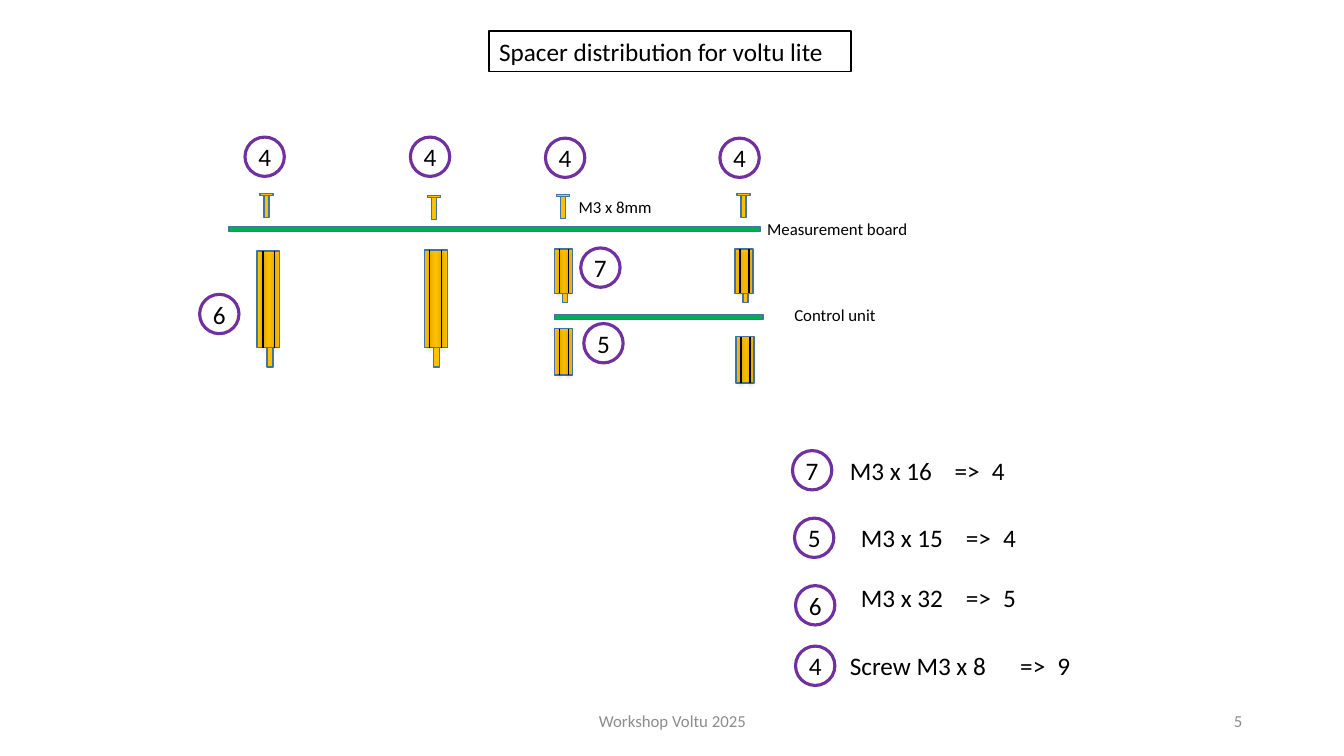
from pptx import Presentation, util as u
from pptx.dml.color import RGBColor
from pptx.enum import shapes, text
from pptx.oxml import parse_xml
from pptx.oxml.ns import nsdecls

PX = 9144  # EMU per px, 100 px to the inch
BLACK = RGBColor(0x00, 0x00, 0x00)
GREY = RGBColor(0x8C, 0x8C, 0x8C)
BRASS = RGBColor(0xFF, 0xC0, 0x00)
BOARD_GREEN = RGBColor(0x00, 0xB0, 0x50)
EDGE_BLUE = RGBColor(0x43, 0x73, 0x9E)
PURPLE = RGBColor(0x70, 0x30, 0xA0)
BADGE = 39

deck = Presentation()
deck.slide_width, deck.slide_height = 1333 * PX, 750 * PX
slide = deck.slides.add_slide(deck.slide_layouts[5])


def write(box, wording, size=18, color=BLACK, align=text.PP_ALIGN.LEFT,
          anchor=text.MSO_ANCHOR.TOP, wrap=False, inset=10, tabs=()):
    frame = box.text_frame
    frame.auto_size = text.MSO_AUTO_SIZE.NONE
    frame.word_wrap = wrap
    frame.vertical_anchor = anchor
    frame.margin_left = frame.margin_right = inset * PX
    frame.margin_top = frame.margin_bottom = inset // 2 * PX
    line = frame.paragraphs[0]
    line.alignment = align
    run = line.add_run()
    run.text = wording
    run.font.name, run.font.size = "Calibri", u.Pt(size)
    run.font.color.rgb = color
    if tabs:
        stops = "".join(f'<a:tab pos="{stop * PX}" algn="l"/>' for stop in tabs)
        line._p.get_or_add_pPr().append(
            parse_xml(f'<a:tabLst {nsdecls("a")}>{stops}</a:tabLst>'))


def draw(parent, left, top, width, height, fill=None, edge=EDGE_BLUE, weight=1,
         preset=shapes.MSO_SHAPE.RECTANGLE):
    part = parent.shapes.add_shape(preset, left * PX, top * PX, width * PX, height * PX)
    part.shadow.inherit = False
    if fill is None:
        part.fill.background()
    else:
        part.fill.solid()
        part.fill.fore_color.rgb = fill
    part.line.color.rgb = edge
    part.line.width = u.Pt(weight)
    return part


# Title
title = slide.shapes.title
title.left, title.top, title.width, title.height = 485 * PX, 31 * PX, 359 * PX, 40 * PX
title.line.color.rgb = BLACK
title.line.width = u.Pt(1.25)
write(title, "Spacer distribution for voltu lite")

# Spacers: body, groove positions, then the threaded stud (offset, width, height)
spacers = [
    (550, 326, 18, 46, (5, 14), None),
    (730, 334, 18, 46, (5, 14), None),
    (255, 249, 22, 96, (6, 17), (10, 6, 19)),
    (421, 248, 23, 97, (5, 17), (9, 6, 19)),
    (550, 247, 18, 44, (5, 14), (8, 5, 9)),
    (729, 247, 18, 44, (5, 14), (8, 5, 9)),
]
for left, top, width, height, grooves, stud in spacers:
    spacer = slide.shapes.add_group_shape()
    bottom = top + height
    draw(spacer, left, top, width, height, BRASS)
    for offset in grooves:
        x = (left + offset) * PX
        groove = spacer.shapes.add_connector(
            shapes.MSO_CONNECTOR.STRAIGHT, x, top * PX, x, bottom * PX)
        groove.line.color.rgb = BLACK
        groove.line.width = u.Pt(1)
    if stud:
        offset, stud_width, stud_height = stud
        draw(spacer, left + offset, bottom, stud_width, stud_height, BRASS)

# Circuit boards
draw(slide, 550, 312, 207, 5, BOARD_GREEN)
draw(slide, 227, 225, 527, 5, BOARD_GREEN)

# Screws
for left, top in [(552, 193), (731, 192), (258, 192), (424, 194)]:
    screw = slide.shapes.add_group_shape()
    draw(screw, left, top, 13, 2, BRASS)
    draw(screw, left + 4, top + 2, 5, 22, BRASS)

# Numbered badges, on the drawing and in the parts list
badges = [
    ("4", 243, 136), ("4", 407, 136), ("4", 541, 137), ("4", 714, 137),
    ("6", 198, 292), ("7", 576, 246), ("5", 579, 321),
    ("7", 786, 447), ("5", 788, 514), ("6", 789, 581), ("4", 789, 641),
]
for number, left, top in badges:
    badge = draw(slide, left, top, BADGE, BADGE, edge=PURPLE, weight=2.25,
                 preset=shapes.MSO_SHAPE.OVAL)
    write(badge, number, align=text.PP_ALIGN.CENTER,
          anchor=text.MSO_ANCHOR.MIDDLE, inset=0)

# Labels, parts list and footer
small = dict(size=12)
footer = dict(size=12, color=GREY, anchor=text.MSO_ANCHOR.MIDDLE, wrap=True)
part_row = dict(wrap=True, tabs=(104, 141))
wordings = [
    ("M3 x 8mm", 564, 190, 94, 30, small),
    ("Measurement board", 751, 212, 161, 30, small),
    ("Control unit", 778, 297, 106, 30, small),
    ("M3 x 16\t=>\t4", 833, 447, 175, 40, part_row),
    ("M3 x 15\t=>\t4", 844, 513, 175, 40, part_row),
    ("M3 x 32\t=>\t5", 844, 573, 175, 40, part_row),
    ("Screw M3 x 8\t=>\t9", 833, 640, 241, 40, dict(wrap=True, tabs=(169, 206))),
    ("Workshop Voltu 2025", 442, 695, 450, 40, dict(footer, align=text.PP_ALIGN.CENTER)),
    ("5", 942, 695, 300, 40, dict(footer, align=text.PP_ALIGN.RIGHT)),
]
for wording, left, top, width, height, style in wordings:
    label = slide.shapes.add_textbox(left * PX, top * PX, width * PX, height * PX)
    write(label, wording, **style)

deck.save("out.pptx")
